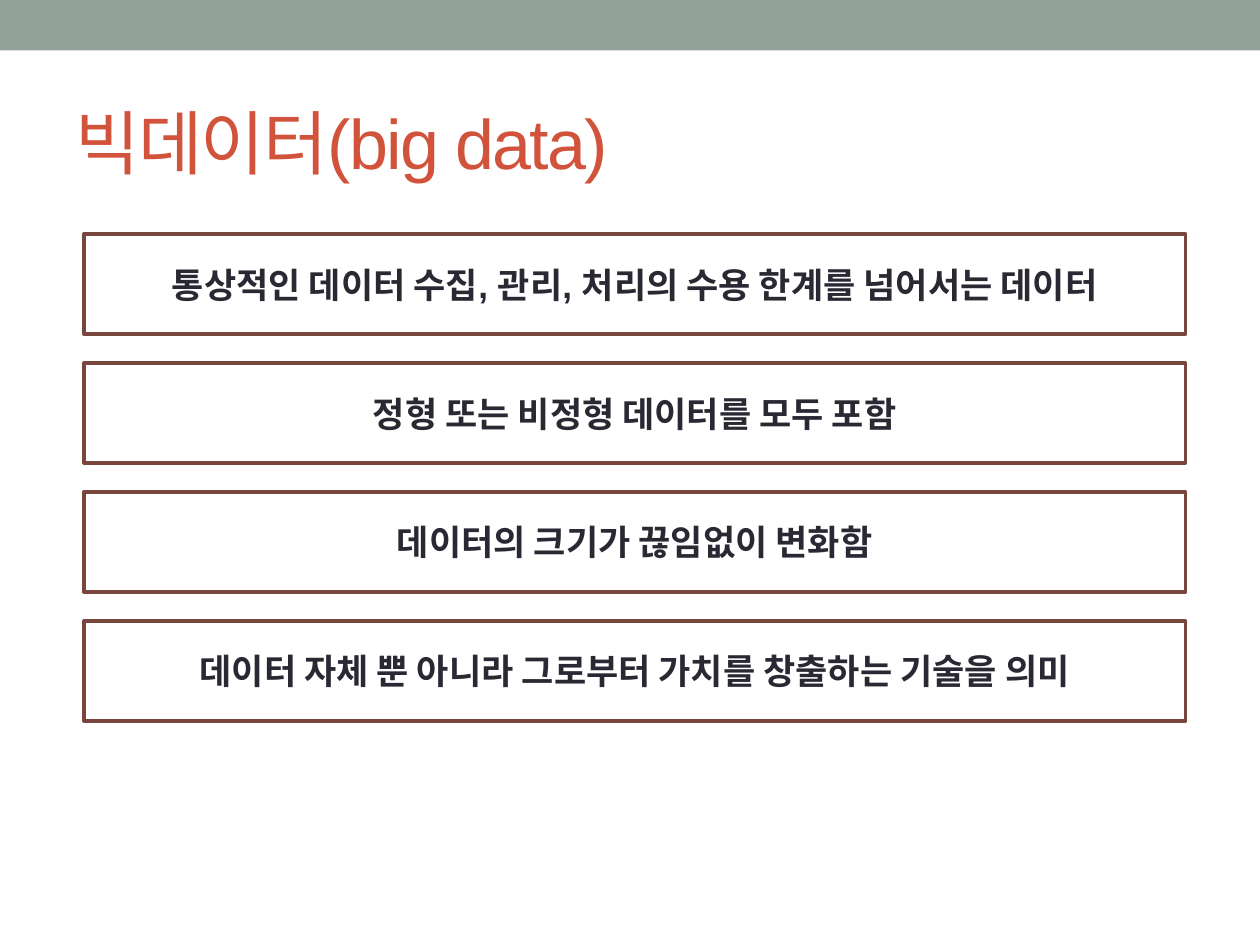
from pptx import Presentation
from pptx import util as u
from pptx.dml.color import RGBColor
from pptx.enum import shapes, text

COLORS = {
    "band": "93A299",
    "title": "D2533C",
    "border": "79463D",
    "body": "292934",
    "white": "FFFFFF",
}
FEATURES = [
    "통상적인 데이터 수집, 관리, 처리의 수용 한계를 넘어서는 데이터",
    "정형 또는 비정형 데이터를 모두 포함",
    "데이터의 크기가 끊임없이 변화함",
    "데이터 자체 뿐 아니라 그로부터 가치를 창출하는 기술을 의미",
]
FEATURE_TOP, FEATURE_PITCH = 133.8, 73.7


def color(name):
    return RGBColor.from_string(COLORS[name])


def write(frame, words, *, size, ink, bold=False, align=text.PP_ALIGN.LEFT, tracking=None):
    """Fill a text frame with one vertically centred paragraph; tracking is in points."""
    frame.word_wrap = True
    frame.auto_size = text.MSO_AUTO_SIZE.NONE
    frame.vertical_anchor = text.MSO_ANCHOR.MIDDLE
    line = frame.paragraphs[0]
    line.alignment = align
    run = line.add_run()
    run.text = words
    run.font.name = "Arial"
    run.font.size = u.Pt(size)
    run.font.bold = bold
    run.font.color.rgb = color(ink)
    if tracking is not None:
        run._r.get_or_add_rPr().set("spc", str(round(tracking * 100)))


class SlideBuilder:
    def __init__(self, slide):
        self.slide = slide

    def rectangle(self, left, top, width, height, fill, border=None):
        box = self.slide.shapes.add_shape(
            shapes.MSO_SHAPE.RECTANGLE, u.Pt(left), u.Pt(top), u.Pt(width), u.Pt(height))
        box.shadow.inherit = False
        box.fill.solid()
        box.fill.fore_color.rgb = color(fill)
        if border:
            box.line.color.rgb = color(border)
            box.line.width = u.Pt(2.08)
        else:
            box.line.fill.background()
        return box

    def title(self, words):
        heading = self.slide.shapes.title
        heading.left, heading.top = u.Pt(36), u.Pt(42)
        heading.width, heading.height = u.Pt(648), u.Pt(78)
        write(heading.text_frame, words, size=40, ink="title", tracking=-1)

    def feature(self, words, top):
        box = self.rectangle(48, top, 629.5, 57, "white", "border")
        write(box.text_frame, words, size=20, ink="body", bold=True,
              align=text.PP_ALIGN.CENTER)


def main():
    deck = Presentation()
    deck.slide_width, deck.slide_height = u.Pt(720), u.Pt(540)
    builder = SlideBuilder(deck.slides.add_slide(deck.slide_layouts[5]))
    builder.rectangle(0, 0, 720, 28.8, "band")
    builder.title("빅데이터(big data)")
    for row, feature in enumerate(FEATURES):
        builder.feature(feature, FEATURE_TOP + row * FEATURE_PITCH)
    deck.save("out.pptx")


if __name__ == "__main__":
    main()
